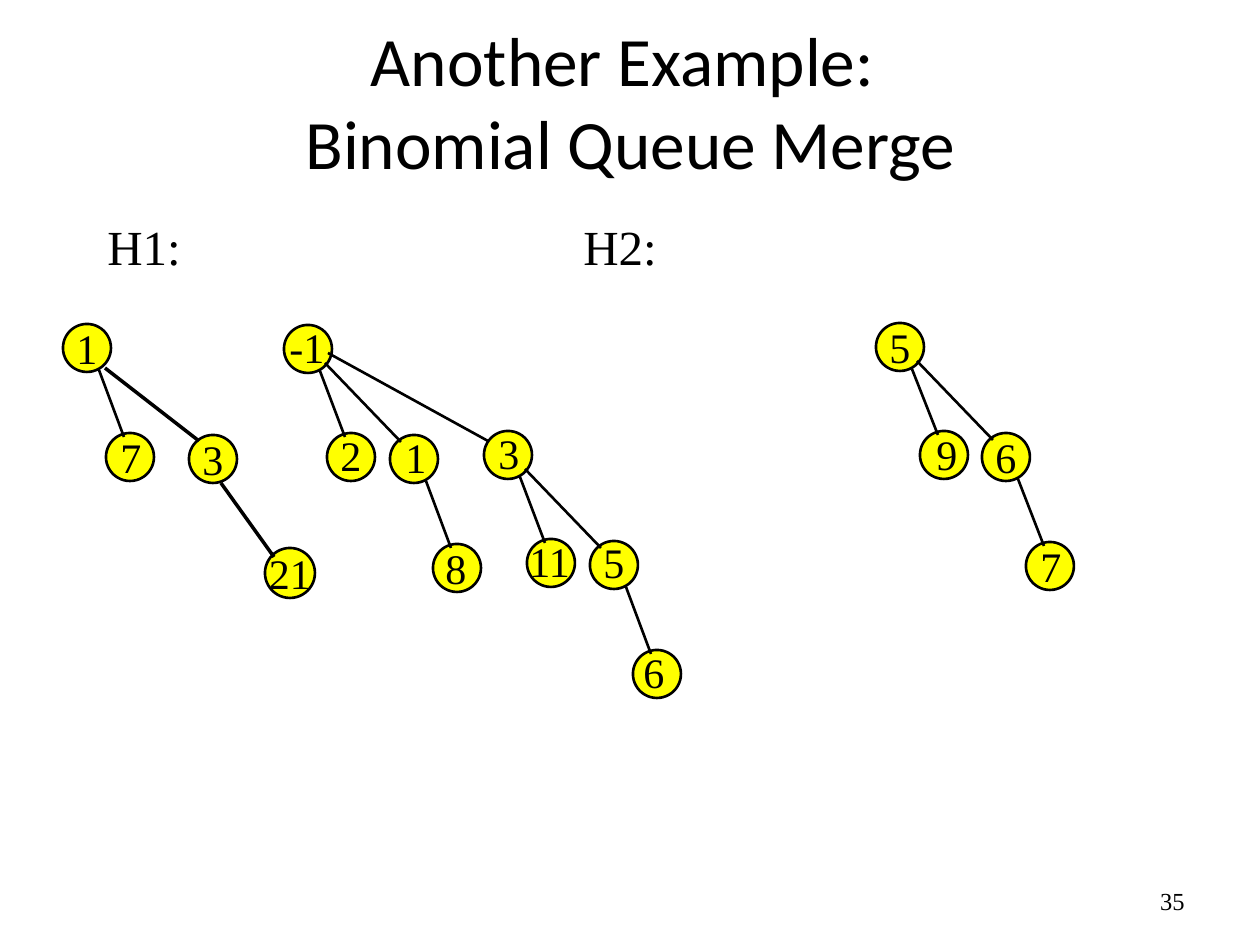
from lxml import etree
from pptx import Presentation, util as u
from pptx.dml.color import RGBColor
from pptx.enum import shapes, text
from pptx.oxml.ns import qn

PX = 914400 // 126
SERIF = "Times New Roman"
prs = Presentation()
prs.slide_width, prs.slide_height = u.Inches(10), u.Inches(7.5)
slide = prs.slides.add_slide(prs.slide_layouts[6])


def color(value):
    return RGBColor.from_string(value)


def write(paragraph, words, size, font=SERIF):
    run = paragraph.add_run()
    run.text = words
    run.font.size, run.font.name = u.Pt(size), font
    run.font.color.rgb = color("000000")


# Title
title = slide.shapes.add_textbox(95 * PX, 21 * PX, 1071 * PX, 158 * PX).text_frame
title.word_wrap = True
title.vertical_anchor = text.MSO_ANCHOR.MIDDLE
heading = title.paragraphs[0]
heading.alignment = text.PP_ALIGN.CENTER
write(heading, "Another Example: ", 39.6, "Calibri")
heading.add_line_break()
write(heading, "Binomial Queue Merge", 39.6, "Calibri")

# Queue names, the second one set by a tab stop
names = slide.shapes.add_textbox(95 * PX, 210 * PX, 575 * PX, 72 * PX).text_frame
names.word_wrap = True
queues = names.paragraphs[0]
tabs = etree.SubElement(queues._p.get_or_add_pPr(), qn("a:tabLst"))
etree.SubElement(tabs, qn("a:tab"), pos=str(476 * PX), algn="l")
write(queues, "H1:\tH2:", 28)

# Nodes: key, value, left, top, label offset (None: value inside the circle)
nodes = [
    ("a", "1", 63, 324, (1, -8)),
    ("a7", "7", 106, 433, (2, -8)),
    ("a3", "3", 189, 435, None),
    ("a21", "21", 265, 548, None),
    ("b", "-1", 284, 325, (-7, -10)),
    ("b2", "2", 327, 433, (1, -10)),
    ("b1", "1", 390, 435, (3, -10)),
    ("b8", "8", 433, 544, (0, -8)),
    ("b3", "3", 484, 431, (2, -10)),
    ("b11", "11", 527, 539, (-10, -10)),
    ("b5", "5", 590, 541, (1, -11)),
    ("b6", "6", 633, 650, (-2, -10)),
    ("c", "5", 876, 323, (1, -8)),
    ("c9", "9", 920, 431, (4, -9)),
    ("c6", "6", 982, 433, (1, -8)),
    ("c7", "7", 1026, 542, (2, -8)),
]
corner = {}
for key, value, left, top, offset in nodes:
    corner[key] = left, top
    size = 50 if key == "a21" else 48
    circle = slide.shapes.add_shape(
        shapes.MSO_SHAPE.OVAL, left * PX, top * PX, size * PX, size * PX)
    circle.shadow.inherit = False
    circle.fill.solid()
    circle.fill.fore_color.rgb = color("FFFF00")
    circle.line.color.rgb = color("000000")
    circle.line.width = u.Pt(1.5)
    if offset is None:
        circle.text_frame.word_wrap = False
        circle.text_frame.vertical_anchor = text.MSO_ANCHOR.MIDDLE
        circle.text_frame.paragraphs[0].alignment = text.PP_ALIGN.CENTER
        write(circle.text_frame.paragraphs[0], value, 24)

# Edges: offsets from the parent and child corners, line width, linked nodes
edges = [
    ((36, 46), (18, 4), 1.5, ["a a7", "b b2", "b1 b8", "b3 b11", "b5 b6", "c c9", "c6 c7"]),
    ((41, 38), (11, 7), 1.5, ["b b1", "b3 b5", "c c6"]),
    ((44, 28), (4, 10), 1.5, ["b b3"]),
    ((42, 44), (10, 6), 2, ["a a3"]),
    ((32, 48), (9, 9), 2, ["a3 a21"]),
]
for start, end, width, links in edges:
    for link in links:
        parent, child = link.split()
        x1, y1 = (c + d for c, d in zip(corner[parent], start))
        x2, y2 = (c + d for c, d in zip(corner[child], end))
        edge = slide.shapes.add_connector(
            shapes.MSO_CONNECTOR.STRAIGHT, x1 * PX, y1 * PX, x2 * PX, y2 * PX)
        edge.line.color.rgb = color("000000")
        edge.line.width = u.Pt(width)
        etree.SubElement(edge._element.spPr, qn("a:effectLst"))

# Node labels
label_width = {"-1": 60, "11": 67}
for key, value, left, top, offset in nodes:
    if offset is not None:
        label = slide.shapes.add_textbox(
            (left + offset[0]) * PX, (top + offset[1]) * PX,
            label_width.get(value, 47) * PX, 63 * PX).text_frame
        label.word_wrap = False
        write(label.paragraphs[0], value, 24)

# Slide number
number = slide.shapes.add_textbox(903 * PX, 876 * PX, 294 * PX, 50 * PX).text_frame
number.word_wrap = True
number.vertical_anchor = text.MSO_ANCHOR.MIDDLE
number.paragraphs[0].alignment = text.PP_ALIGN.RIGHT
write(number.paragraphs[0], "35", 14)

prs.save("out.pptx")
